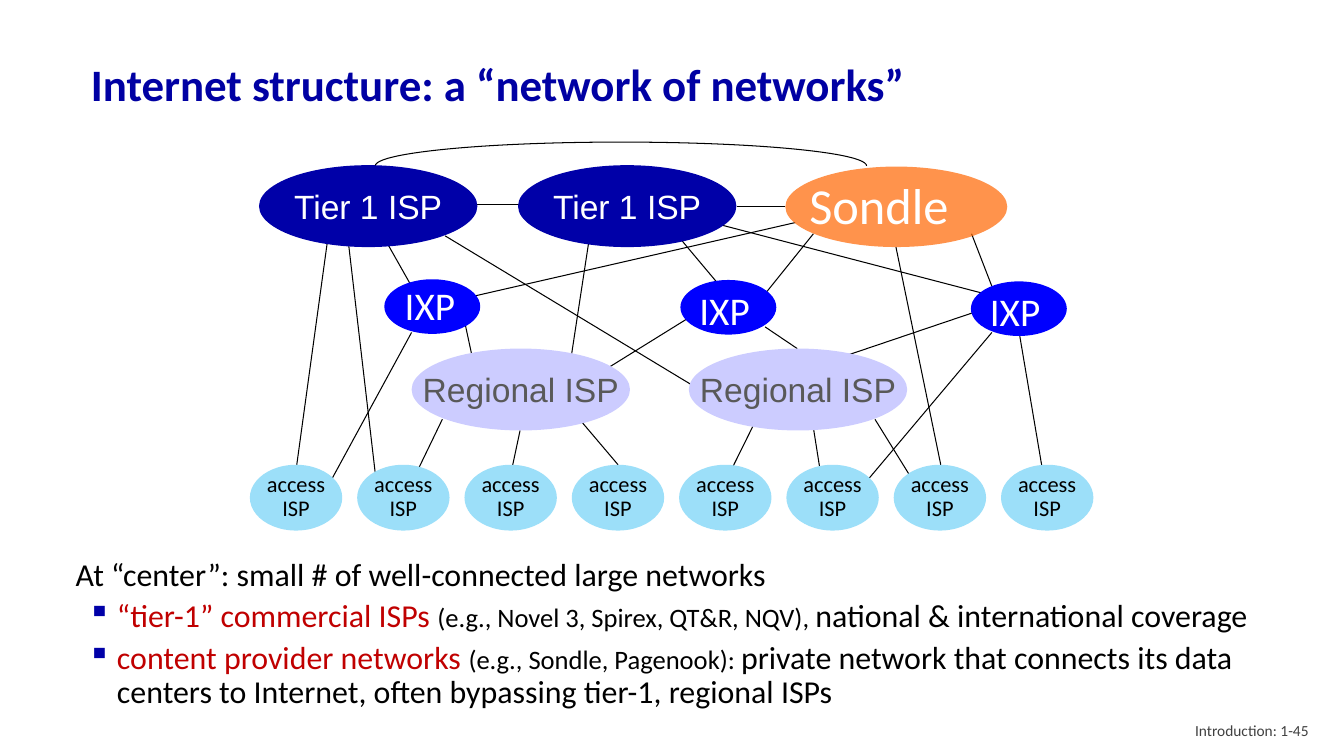
from lxml import etree
from pptx import Presentation
from pptx.dml.color import RGBColor
from pptx.enum.shapes import MSO_CONNECTOR, MSO_SHAPE
from pptx.enum.text import MSO_ANCHOR, PP_ALIGN
from pptx.oxml.ns import qn
from pptx.util import Pt

LINE = MSO_CONNECTOR.STRAIGHT
OVAL, ARC = MSO_SHAPE.OVAL, MSO_SHAPE.ARC
TOP, MIDDLE = MSO_ANCHOR.TOP, MSO_ANCHOR.MIDDLE
LEFT, CENTER, RIGHT = PP_ALIGN.LEFT, PP_ALIGN.CENTER, PP_ALIGN.RIGHT

BLACK = RGBColor(0, 0, 0)
WHITE = RGBColor(255, 255, 255)
NAVY = RGBColor(0x00, 0x00, 0xA8)
TITLE = RGBColor(0x00, 0x00, 0xA3)
BLUE = RGBColor(0x00, 0x00, 0xFF)
LILAC = RGBColor(0xCC, 0xCC, 0xFF)
SKY = RGBColor(0x9C, 0xDF, 0xF9)
ORANGE = RGBColor(0xFF, 0x66, 0x00)
RED = RGBColor(0xC0, 0x00, 0x00)
GRAY = RGBColor(0x59, 0x59, 0x59)
DARK = RGBColor(0x40, 0x40, 0x40)

LINKS = [
    (236, 157, 212, 332), (371.5, 307.5, 363.5, 345),
    (316, 299.5, 294, 345), (248.5, 170, 269.5, 350.5),
    (294, 237.5, 232.5, 350.5), (408, 292.5, 441.5, 332),
    (540, 300, 517, 346.5), (581, 305.5, 587.5, 346.5),
    (625, 299.5, 657.5, 352), (640, 176.5, 672, 332),
    (728, 237.5, 746.5, 346.5), (708.5, 237.5, 612.5, 351.5),
    (332.5, 232.5, 338.5, 260.5), (421, 170, 408, 255),
    (492, 227, 427.5, 267), (318, 168.5, 497.5, 277),
    (702, 221, 600, 255.5), (546.5, 233.5, 569.5, 249),
    (568, 159, 319, 216), (694, 167, 708.5, 204.5),
    (581, 167, 542, 215.5), (380, 146, 338.5, 146),
    (561, 147.5, 526.5, 147.5), (274.5, 170, 294, 204.5),
    (485.5, 170, 517, 207.5), (512.5, 160, 704, 210),
]
HUBS = [(274.5, 199.5, 282, 197.5), (486, 200, 492.5, 201),
        (693.5, 201, 700, 201.5)]
POINTS = [
    [("“tier-1” commercial ISPs ", 22.8, RED),
     ("(e.g., Novel 3, Spirex, QT&R, NQV), ", 19, BLACK),
     ("national & international coverage", 22.8, BLACK)],
    [("content provider networks ", 22.8, RED),
     ("(e.g., Sondle, Pagenook): ", 19, BLACK),
     ("private network that connects its data centers to Internet, "
      "often bypassing tier-1, regional ISPs", 22.8, BLACK)],
]


def style(run, size, color, face="Calibri", bold=False):
    font = run.font
    font.size, font.name, font.bold = Pt(size), face, bold
    font.color.rgb = color


def write(frame, text, size, color, face="Calibri", align=CENTER,
          space=1.0, bold=False):
    frame.text = text
    for para in frame.paragraphs:
        para.alignment, para.line_spacing = align, space
        for run in para.runs:
            style(run, size, color, face, bold)


def add_box(slide, x, y, w, h, anchor=TOP):
    box = slide.shapes.add_textbox(Pt(x), Pt(y), Pt(w), Pt(h))
    frame = box.text_frame
    frame.word_wrap, frame.vertical_anchor = True, anchor
    return frame


def add_link(slide, x1, y1, x2, y2):
    link = slide.shapes.add_connector(LINE, Pt(x1), Pt(y1), Pt(x2), Pt(y2))
    link.line.color.rgb, link.line.width = BLACK, Pt(0.75)
    etree.SubElement(link._element.spPr, qn("a:effectLst"))


def add_arc(slide, x, y, w, h):
    arc = slide.shapes.add_shape(ARC, Pt(x), Pt(y), Pt(w), Pt(h))
    arc.adjustments[0], arc.adjustments[1] = 106.82, 0
    arc.shadow.inherit = False
    arc.fill.background()
    arc.line.color.rgb, arc.line.width = BLACK, Pt(0.75)


def add_oval(slide, x, y, w, h, color):
    oval = slide.shapes.add_shape(OVAL, Pt(x), Pt(y), Pt(w), Pt(h))
    oval.shadow.inherit = False
    oval.fill.solid()
    oval.fill.fore_color.rgb = color
    oval.line.fill.background()
    oval.text_frame.word_wrap = False
    oval.text_frame.vertical_anchor = MIDDLE
    return oval


def fade(shape, percent):
    color = shape._element.spPr.find(".//" + qn("a:srgbClr"))
    etree.SubElement(color, qn("a:alpha")).set("val", str(percent * 1000))


def indent(para, left, hang=0):
    props = para._p.get_or_add_pPr()
    props.set("marL", str(Pt(left)))
    props.set("indent", str(Pt(hang)))
    return props


def add_point(frame, parts):
    para = frame.add_paragraph()
    para.line_spacing, para.space_before = 0.9, Pt(5)
    props = indent(para, 34.5, -21)
    tint = etree.SubElement(props, qn("a:buClr"))
    etree.SubElement(tint, qn("a:srgbClr")).set("val", str(NAVY))
    etree.SubElement(props, qn("a:buChar")).set("char", "▪")
    for text, size, color in parts:
        run = para.add_run()
        run.text = text
        style(run, size, color)


def add_net(slide):
    for ends in LINKS:
        add_link(slide, *ends)
    add_arc(slide, 268, 101.5, 351, 34)
    for col in range(8):
        oval = add_oval(slide, 178.5 + 76.65 * col, 332, 66, 47, SKY)
        write(oval.text_frame, "access\nISP", 16, BLACK, space=0.9)
    for x in (294, 492):
        oval = add_oval(slide, x, 249, 156, 58.5, LILAC)
        write(oval.text_frame, "Regional ISP", 24, GRAY, "Arial")
    for x in (185, 370):
        oval = add_oval(slide, x, 118, 156, 58.5, NAVY)
        write(oval.text_frame, "Tier 1 ISP", 24, WHITE, "Arial")
    for x, y, left, top in HUBS:
        add_oval(slide, x, y, 68.5, 39, BLUE)
        label = add_box(slide, left, top, 58.5, 40)
        write(label, "IXP", 28, WHITE, align=LEFT)
    fade(add_oval(slide, 561, 119, 158.5, 57.5, ORANGE), 70)
    label = add_box(slide, 571, 121, 141, 50.5)
    write(label, "Sondle", 36, WHITE, align=LEFT)


def main():
    deck = Presentation()
    deck.slide_width, deck.slide_height = Pt(960), Pt(540)
    slide = deck.slides.add_slide(deck.slide_layouts[6])
    head = add_box(slide, 65, 26.5, 828, 70.5, MIDDLE)
    head.margin_left = head.margin_right = Pt(0)
    head.margin_top = head.margin_bottom = Pt(0)
    write(head, "Internet structure: a “network of networks”", 32.1, TITLE,
          align=LEFT, space=0.9, bold=True)
    add_net(slide)
    body = add_box(slide, 42, 395.5, 888.5, 144)
    write(body, "At “center”: small # of well-connected large networks",
          22.8, BLACK, align=LEFT, space=0.9)
    indent(body.paragraphs[0], 5)
    for parts in POINTS:
        add_point(body, parts)
    foot = add_box(slide, 726, 507.5, 216, 29, MIDDLE)
    write(foot, "Introduction: 1-45", 11, DARK, align=RIGHT)
    deck.save("out.pptx")


if __name__ == "__main__":
    main()
